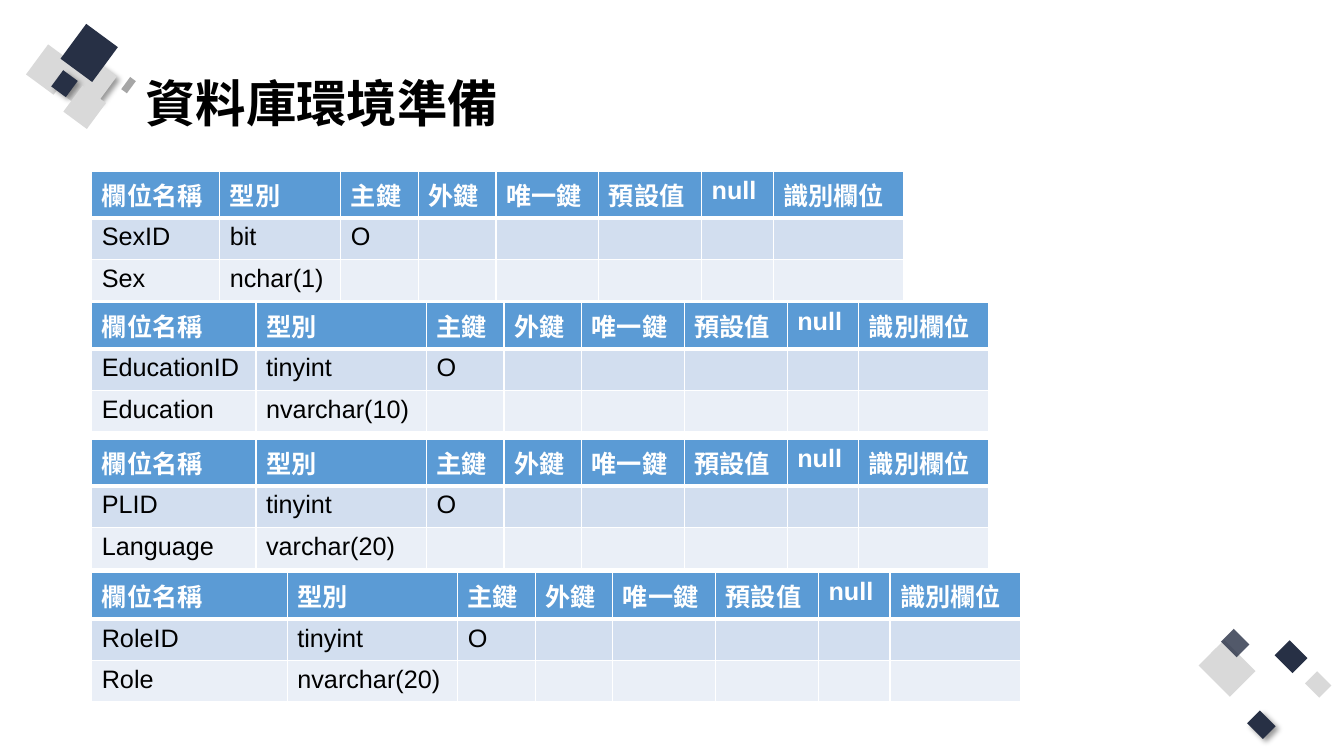
import dataclasses

import lxml.etree
import pptx
import pptx.dml.color
import pptx.enum.shapes
import pptx.enum.text
import pptx.oxml
import pptx.oxml.ns
import pptx.util


@dataclasses.dataclass(frozen=True)
class Theme:
    """Colours, font and type sizes of the slide."""
    navy: str = "273045"
    light_grey: str = "D9D9D9"
    mid_grey: str = "A6A6A6"
    header: str = "5B9BD5"
    bands: tuple = ("D2DEEF", "EAEFF7")
    white: str = "FFFFFF"
    black: str = "000000"
    font: str = "Arial"
    title_size: int = 36
    table_size: int = 18


class SlideBuilder:
    """Draws the elements of one slide in a given theme."""

    def __init__(self, slide, theme):
        self.slide = slide
        self.theme = theme

    def add_run(self, paragraph, text, size, color, bold):
        """Add one formatted run."""
        run = paragraph.add_run()
        run.text = text
        run.font.name = self.theme.font
        run.font.size = pptx.util.Pt(size)
        run.font.bold = bold
        run.font.color.rgb = pptx.dml.color.RGBColor.from_string(color)

    def add_title(self, text, box):
        """Place and fill the title placeholder."""
        title = self.slide.shapes.title
        title.left, title.top, title.width, title.height = map(pptx.util.Inches, box)
        frame = title.text_frame
        frame.auto_size = pptx.enum.text.MSO_AUTO_SIZE.NONE
        frame.vertical_anchor = pptx.enum.text.MSO_ANCHOR.MIDDLE
        paragraph = frame.paragraphs[0]
        paragraph.alignment = pptx.enum.text.PP_ALIGN.LEFT
        paragraph.line_spacing = 0.9
        self.add_run(paragraph, text, self.theme.title_size, self.theme.black, True)

    def add_tile(self, box, rotation, color, shadow=False, opacity=100):
        """Add one rotated decorative rectangle."""
        tile = self.slide.shapes.add_shape(
            pptx.enum.shapes.MSO_SHAPE.RECTANGLE, *map(pptx.util.Inches, box))
        tile.rotation = rotation
        tile.shadow.inherit = False
        tile.fill.solid()
        tile.fill.fore_color.rgb = pptx.dml.color.RGBColor.from_string(color)
        tile.line.fill.background()
        properties = tile.element.spPr
        if opacity < 100:
            fill_color = properties.find(".//" + pptx.oxml.ns.qn("a:srgbClr"))
            lxml.etree.SubElement(
                fill_color, pptx.oxml.ns.qn("a:alpha"), val=str(opacity * 1000))
        if shadow:
            effects = properties.find(pptx.oxml.ns.qn("a:effectLst"))
            effects.append(pptx.oxml.parse_xml(
                f'<a:outerShdw {pptx.oxml.ns.nsdecls("a")} blurRad="{pptx.util.Pt(4)}" '
                f'dist="{pptx.util.Pt(3)}" dir="2700000" algn="tl" rotWithShape="0">'
                f'<a:srgbClr val="{self.theme.black}"><a:alpha val="40000"/></a:srgbClr>'
                '</a:outerShdw>'))

    def set_borders(self, cell, bottom_width):
        """Draw white borders around a cell."""
        properties = cell._tc.get_or_add_tcPr()
        for side, width in (("L", 1), ("R", 1), ("T", 1), ("B", bottom_width)):
            properties.append(pptx.oxml.parse_xml(
                f'<a:ln{side} {pptx.oxml.ns.nsdecls("a")} w="{pptx.util.Pt(width)}">'
                f'<a:solidFill><a:srgbClr val="{self.theme.white}"/></a:solidFill>'
                f'</a:ln{side}>'))

    def add_table(self, left, top, widths, row_height, rows):
        """Add a table with a header row and banded body rows."""
        theme = self.theme
        table = self.slide.shapes.add_table(
            len(rows), len(widths), pptx.util.Inches(left), pptx.util.Inches(top),
            pptx.util.Inches(sum(widths)), pptx.util.Inches(row_height * len(rows))).table
        for column, width in zip(table.columns, widths):
            column.width = pptx.util.Inches(width)
        for row_index, texts in enumerate(rows):
            is_header = row_index == 0
            fill = theme.header if is_header else theme.bands[(row_index - 1) % 2]
            color = theme.white if is_header else theme.black
            for column_index in range(len(widths)):
                cell = table.cell(row_index, column_index)
                above_or_below_header = 3 if is_header else 1
                self.set_borders(cell, above_or_below_header)
                cell.fill.solid()
                cell.fill.fore_color.rgb = pptx.dml.color.RGBColor.from_string(fill)
                if column_index < len(texts):
                    self.add_run(cell.text_frame.paragraphs[0], texts[column_index],
                                 theme.table_size, color, is_header)


def main():
    """Build and save the slide."""
    presentation = pptx.Presentation()
    presentation.slide_width = pptx.util.Inches(13.33)
    presentation.slide_height = pptx.util.Inches(7.5)
    theme = Theme()
    slide = presentation.slides.add_slide(presentation.slide_layouts[5])
    builder = SlideBuilder(slide, theme)

    tiles = [
        ((1.2, 0.81, 0.15, 0.07), 306.4, theme.mid_grey),
        ((0.32, 0.52, 0.37, 0.34), 306.4, theme.light_grey),
        ((0.8, 0.66, 0.31, 0.28), 306.4, theme.light_grey, True),
        ((0.69, 0.61, 0.19, 0.17), 306.4, theme.light_grey),
        ((0.56, 0.66, 0.33, 0.3), 306.4, theme.light_grey),
        ((0.54, 0.74, 0.2, 0.18), 306.4, theme.navy, True),
        ((0.67, 0.33, 0.43, 0.39), 306.4, theme.navy),
        ((0.68, 0.92, 0.32, 0.29), 306.4, theme.light_grey),
        ((12.7, 6.39, 0.21, 0.25), 315, theme.navy),
        ((12.99, 6.69, 0.17, 0.2), 315, theme.light_grey),
        ((11.99, 6.41, 0.36, 0.44), 135, theme.light_grey),
        ((12.42, 7.08, 0.18, 0.22), 135, theme.navy, True),
        ((12.16, 6.27, 0.18, 0.22), 135, theme.navy, False, 80),
    ]
    for tile in tiles:
        builder.add_tile(*tile)

    builder.add_title("資料庫環境準備", (1.34, 0.4, 10.55, 1.3))

    headers = ["欄位名稱", "型別", "主鍵", "外鍵", "唯一鍵", "預設值", "null", "識別欄位"]
    flag_widths = [0.77, 0.77, 1.02, 1.02, 0.71, 1.29]
    tables = [
        (1.7, [1.27, 1.2], ["SexID", "bit", "O"], ["Sex", "nchar(1)"]),
        (3, [1.63, 1.69], ["EducationID", "tinyint", "O"], ["Education", "nvarchar(10)"]),
        (4.36, [1.63, 1.69], ["PLID", "tinyint", "O"], ["Language", "varchar(20)"]),
        (5.68, [1.94, 1.69], ["RoleID", "tinyint", "O"], ["Role", "nvarchar(20)"]),
    ]
    for top, name_widths, *fields in tables:
        builder.add_table(0.91, top, name_widths + flag_widths, 0.41, [headers, *fields])

    presentation.save("out.pptx")


if __name__ == "__main__":
    main()
